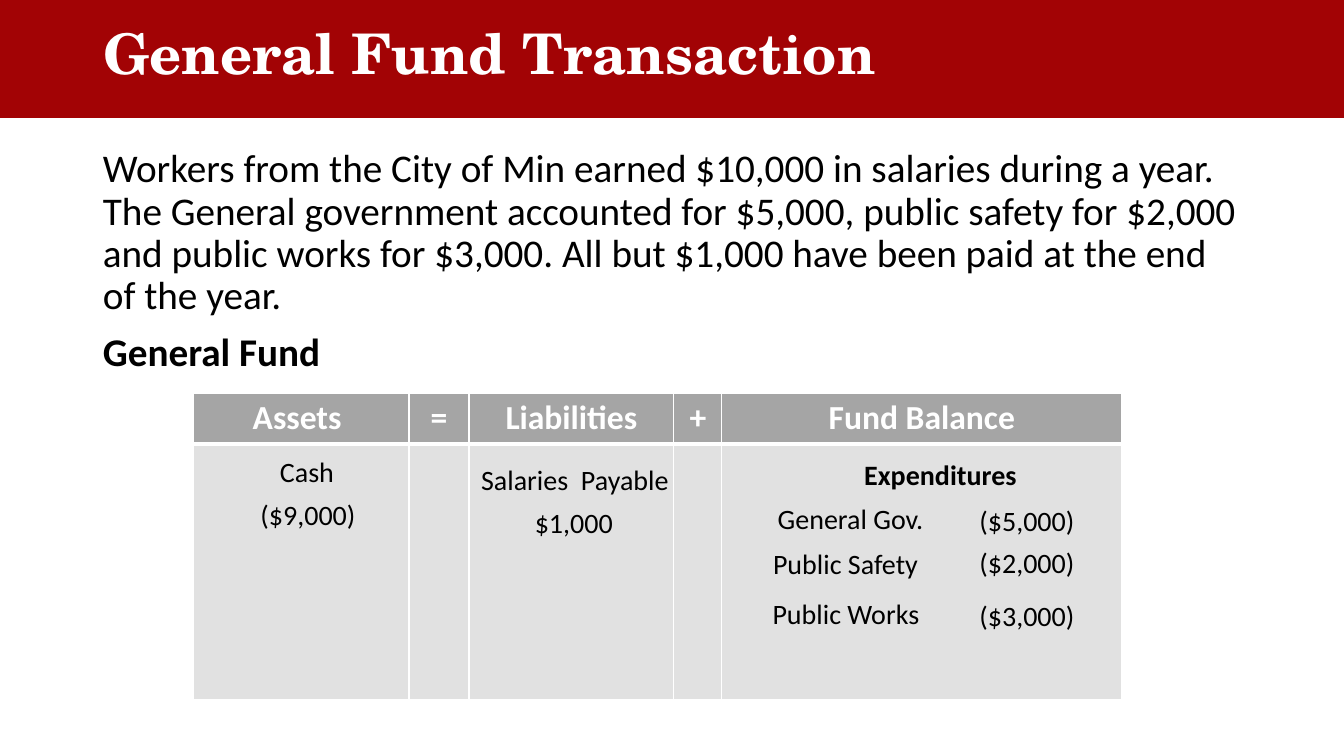
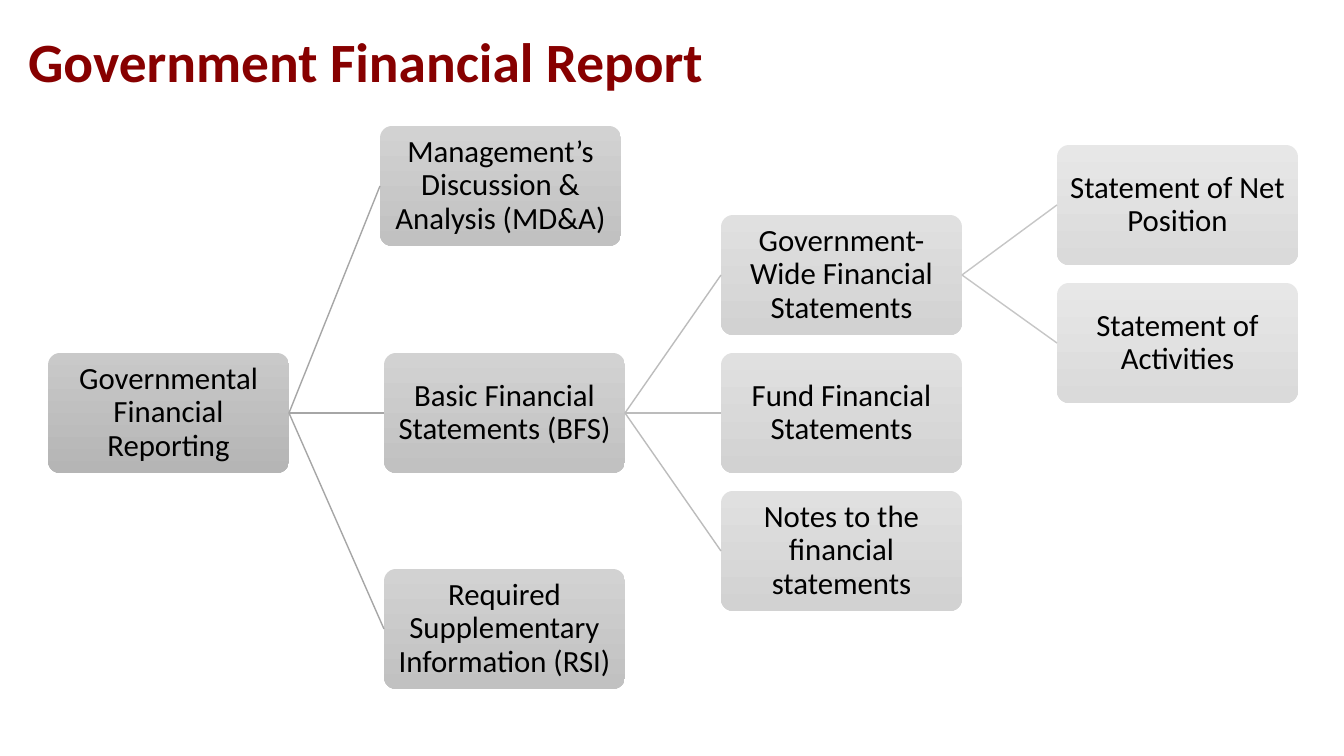
from dataclasses import dataclass

from lxml import etree
from pptx import Presentation
from pptx.dml.color import RGBColor
from pptx.enum.shapes import MSO_CONNECTOR, MSO_SHAPE
from pptx.enum.text import MSO_ANCHOR, MSO_AUTO_SIZE, PP_ALIGN
from pptx.oxml.ns import qn
from pptx.util import Pt

LEFT, CENTER = PP_ALIGN.LEFT, PP_ALIGN.CENTER
TOP, MIDDLE = MSO_ANCHOR.TOP, MSO_ANCHOR.MIDDLE
NO_AUTOFIT = MSO_AUTO_SIZE.NONE
RECTANGLE, ROUNDED = MSO_SHAPE.RECTANGLE, MSO_SHAPE.ROUNDED_RECTANGLE
STRAIGHT = MSO_CONNECTOR.STRAIGHT
LEFT_SITE, RIGHT_SITE = 1, 3

SLIDE_WIDTH, SLIDE_HEIGHT = 1344, 756
EMU_PER_PX = 12192000 / SLIDE_WIDTH


@dataclass(frozen=True)
class Theme:
    font: str = "Calibri"
    serif: str = "TeX Gyre Schola"
    text: str = "000000"
    white: str = "FFFFFF"
    band: str = "A20305"
    title: str = "870000"
    table_header: str = "A5A5A5"
    table_body: str = "E1E1E1"
    # One entry for each level of the tree
    box_gradients: tuple = (("C9C9C9", "B5B5B5"), ("D2D2D2", "C1C1C1"),
                            ("E0E0E0", "D2D2D2"), ("E7E7E7", "DADADA"))
    branches: tuple = (None, "A6A6A6", "BCBCBC", "C6C6C6")
    band_title_size: float = 40
    title_size: float = 39.6
    body_size: float = 28
    header_size: float = 24
    box_size: float = 22
    label_size: float = 20


def px(length):
    return round(length * EMU_PER_PX)


def place(left, top, width, height):
    return [px(length) for length in (left, top, width, height)]


def color(value):
    return RGBColor.from_string(value)


def write(paragraph, text, *, size, font=Theme.font, ink=Theme.text, bold=False,
          align=LEFT, line_spacing=1.0, space_before=0):
    paragraph.alignment = align
    paragraph.line_spacing = line_spacing
    paragraph.space_before = Pt(space_before)
    run = paragraph.add_run()
    run.text = text
    run.font.name = font
    run.font.size = Pt(size)
    run.font.bold = bold
    run.font.color.rgb = color(ink)


def set_borders(cell, ink, bottom):
    """Draw 1 pt borders, with a bottom border of its own width."""
    properties = cell._tc.get_or_add_tcPr()
    widths = {"a:lnL": 1, "a:lnR": 1, "a:lnT": 1, "a:lnB": bottom}
    for index, (tag, width) in enumerate(widths.items()):
        line = etree.Element(qn(tag), w=str(Pt(width)))
        fill = etree.SubElement(line, qn("a:solidFill"))
        etree.SubElement(fill, qn("a:srgbClr"), val=ink)
        properties.insert(index, line)


class Deck:
    def __init__(self, theme):
        self.theme = theme
        self.presentation = Presentation()
        self.presentation.slide_width = px(SLIDE_WIDTH)
        self.presentation.slide_height = px(SLIDE_HEIGHT)
        self.slide = None

    def start_slide(self, title, box, **text_format):
        layout = self.presentation.slide_layouts.get_by_name("Title Only")
        self.slide = self.presentation.slides.add_slide(layout)
        shape = self.slide.shapes.title
        shape.left, shape.top, shape.width, shape.height = place(*box)
        frame = shape.text_frame
        frame.auto_size = NO_AUTOFIT
        frame.vertical_anchor = MIDDLE
        write(frame.paragraphs[0], title, bold=True, line_spacing=0.9, **text_format)

    def band(self, *box):
        """Put a coloured band behind the title."""
        shape = self.slide.shapes.add_shape(RECTANGLE, *place(*box))
        shape.shadow.inherit = False
        shape.fill.solid()
        shape.fill.fore_color.rgb = color(self.theme.band)
        shape.line.fill.background()
        self.slide.shapes.title.element.addprevious(shape.element)

    def text(self, box, paragraphs, **text_format):
        """Add a text box from (text, bold) pairs."""
        frame = self.slide.shapes.add_textbox(*place(*box)).text_frame
        frame.word_wrap = True
        frame.vertical_anchor = TOP
        for index, (text, bold) in enumerate(paragraphs):
            paragraph = frame.add_paragraph() if index else frame.paragraphs[0]
            write(paragraph, text, bold=bold, **text_format)

    def table(self, left, top, columns, rows, headers):
        theme = self.theme
        table = self.slide.shapes.add_table(
            len(rows), len(columns),
            *place(left, top, sum(columns), sum(rows))).table
        for column, width in zip(table.columns, columns):
            column.width = px(width)
        for row, height in zip(table.rows, rows):
            row.height = px(height)
        for row_index, row in enumerate(table.rows):
            is_header = row_index == 0
            for cell, header in zip(row.cells, headers):
                cell.fill.solid()
                cell.fill.fore_color.rgb = color(
                    theme.table_header if is_header else theme.table_body)
                set_borders(cell, theme.white, bottom=3 if is_header else 1)
                if is_header:
                    write(cell.text_frame.paragraphs[0], header, bold=True,
                          size=theme.header_size, ink=theme.white, align=CENTER)

    def box(self, text, level, *box):
        shape = self.slide.shapes.add_shape(ROUNDED, *place(*box))
        shape.adjustments[0] = 0.1
        shape.shadow.inherit = False
        shape.line.fill.background()
        shape.fill.gradient()
        shape.fill.gradient_angle = 270
        for stop, ink in zip(shape.fill.gradient_stops, self.theme.box_gradients[level]):
            stop.color.rgb = color(ink)
        frame = shape.text_frame
        frame.word_wrap = True
        frame.vertical_anchor = MIDDLE
        frame.margin_left = frame.margin_right = px(2)
        frame.margin_top = frame.margin_bottom = px(2)
        write(frame.paragraphs[0], text, size=self.theme.box_size, align=CENTER,
              line_spacing=0.9)
        return shape

    def branch(self, parent, child, level):
        connector = self.slide.shapes.add_connector(STRAIGHT, 0, 0, 0, 0)
        connector.begin_connect(parent, RIGHT_SITE)
        connector.end_connect(child, LEFT_SITE)
        connector.line.color.rgb = color(self.theme.branches[level])
        connector.line.width = Pt(1)
        etree.SubElement(connector.element.spPr, qn("a:effectLst"))


def add_transaction_slide(deck):
    theme = deck.theme
    deck.start_slide("General Fund Transaction", (93, -17, 1159, 146),
                     font=theme.serif, size=theme.band_title_size, ink=theme.white)
    deck.band(0, -29, SLIDE_WIDTH, 147)
    deck.text((93, 144, 1159, 516), [
        ("Workers from the City of Min earned $10,000 in salaries during a year. "
         "The General government accounted for $5,000, public safety for $2,000 "
         "and public works for $3,000. All but $1,000 have been paid at the end "
         "of the year.", False),
        ("General Fund", True),
    ], size=theme.body_size, line_spacing=0.9, space_before=10)
    deck.table(193, 393, columns=(216, 60, 205, 48, 400), rows=(51, 256),
               headers=("Assets ", "=", "Liabilities", "+", "Fund Balance"))

    amount_left, amount_width, label_height = 944, 166, 44
    labels = [
        ("Cash", 176, 450, 262),
        ("($9,000)", 225, 493, amount_width),
        ("Salaries  Payable", 444, 458, 262),
        ("$1,000 ", 494, 501, amount_width),
        ("Expenditures", 796, 453, 289),
        ("General Gov.", 759, 497, 183),
        ("($5,000)", amount_left, 499, amount_width),
        ("Public Safety", 750, 542, 191),
        ("($2,000)", amount_left, 541, amount_width),
        ("Public Works", 747, 592, 198),
        ("($3,000)", amount_left, 594, amount_width),
    ]
    for text, left, top, width in labels:
        deck.text((left, top, width, label_height), [(text, text == "Expenditures")],
                  size=theme.label_size, align=CENTER)


def add_report_slide(deck):
    deck.start_slide("Government Financial Report", (18, 27, 1159, 75),
                     size=deck.theme.title_size, ink=deck.theme.title)
    box_width, box_height = 241, 120
    level_lefts = (48, 384, 721, 1057)
    middle, pitch = 353, 138
    reporting = "Governmental Financial Reporting"
    basic = "Basic Financial Statements (BFS)"
    government_wide = "Government-Wide Financial Statements"
    # Text, parent, level, top, shift from the left edge of the level
    nodes = [
        (reporting, None, 0, middle, 0),
        ("Management’s Discussion & Analysis (MD&A)", reporting, 1, 126, -4),
        (basic, reporting, 1, middle, 0),
        ("Required Supplementary Information (RSI)", reporting, 1, 569, 0),
        (government_wide, basic, 2, middle - pitch, 0),
        ("Fund Financial Statements", basic, 2, middle, 0),
        ("Notes to the financial statements", basic, 2, middle + pitch, 0),
        ("Statement of Net Position", government_wide, 3, 145, 0),
        ("Statement of Activities", government_wide, 3, 145 + pitch, 0),
    ]
    boxes = {}
    for text, parent, level, top, shift in nodes:
        boxes[text] = deck.box(text, level, level_lefts[level] + shift, top,
                               box_width, box_height)
        if parent:
            deck.branch(boxes[parent], boxes[text], level)


def main():
    deck = Deck(Theme())
    add_transaction_slide(deck)
    add_report_slide(deck)
    deck.presentation.save("out.pptx")


if __name__ == "__main__":
    main()
